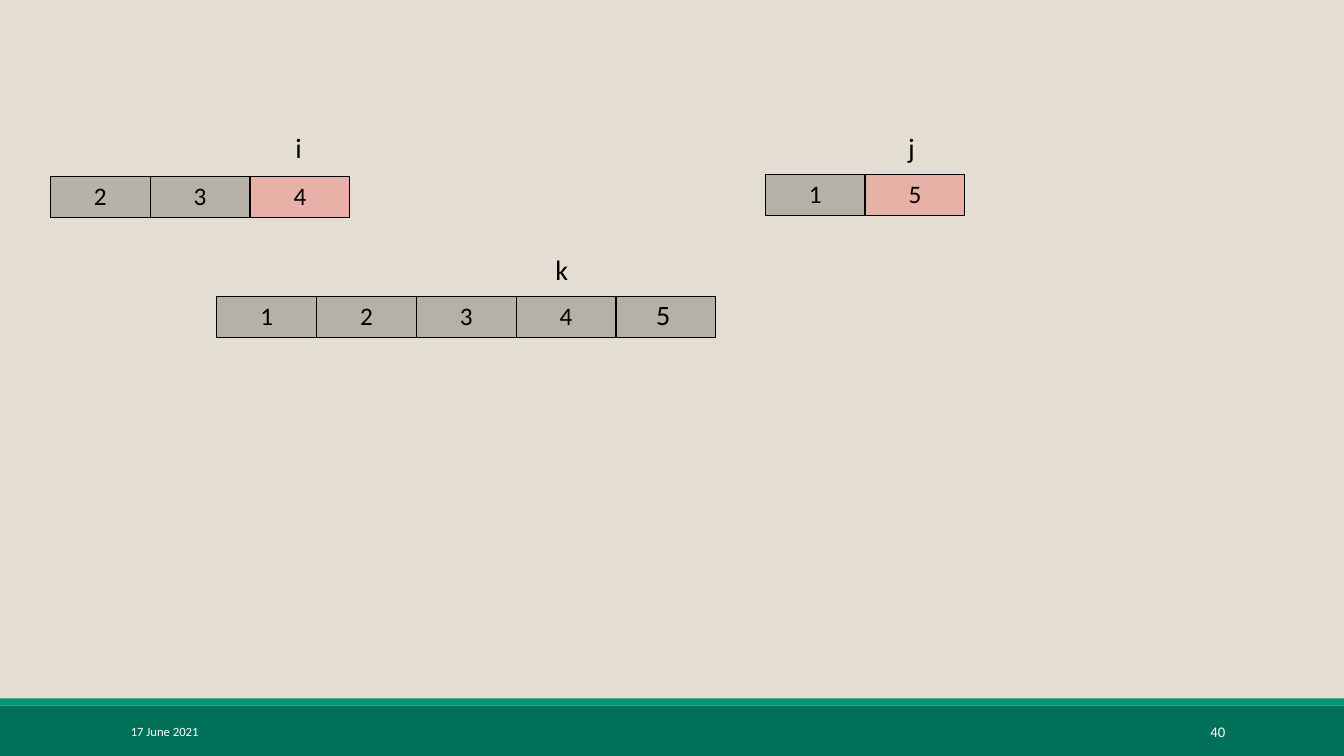
"""Build a slide showing the merge step of merge sort."""
from lxml.etree import SubElement
from pptx import Presentation
from pptx.dml.color import RGBColor as RGB
from pptx.enum.shapes import MSO_SHAPE as SHAPE
from pptx.enum.text import MSO_ANCHOR as ANCHOR, MSO_AUTO_SIZE as AUTO, PP_ALIGN as ALIGN
from pptx.oxml.ns import qn
from pptx.util import Inches, Pt

COLORS = {
    "back": "E3DED1", "bar": "017058", "strip": "029676",
    "white": "FFFFFF", "black": "000000", "grey": "B6B2A7", "red": "FF0000",
}
FONT = "Calibri"
CELL_W, CELL_H = 0.99, 0.41


def paint(fill, name, alpha=100):
    fill.solid()
    fill.fore_color.rgb = RGB.from_string(COLORS[name])
    if alpha < 100:
        tint = fill._xPr.find(qn("a:solidFill"))[0]
        SubElement(tint, qn("a:alpha"), val=str(alpha * 1000))


def style(para, size, color, align):
    para.alignment = align
    for run in para.runs:
        run.font.size = Pt(size)
        run.font.name = FONT
        run.font.color.rgb = RGB.from_string(COLORS[color])


def add_band(slide, top, height, color):
    band = slide.shapes.add_shape(
        SHAPE.RECTANGLE, 0, Inches(top), Inches(13.33), Inches(height))
    band.shadow.inherit = False
    band.line.fill.background()
    paint(band.fill, color)


def add_text(slide, text, box, size, color="black", align=ALIGN.LEFT):
    shape = slide.shapes.add_textbox(*map(Inches, box))
    frame = shape.text_frame
    frame.word_wrap = True
    frame.text = text
    style(frame.paragraphs[0], size, color, align)
    return frame


def add_label(slide, text, left, top, width):
    frame = add_text(slide, text, (left, top, width, 0.44), 20)
    frame.auto_size = AUTO.SHAPE_TO_FIT_TEXT


def add_foot(slide, text, left, width, size, align):
    frame = add_text(slide, text, (left, 7.06, width, 0.4), size, "white", align)
    frame.vertical_anchor = ANCHOR.MIDDLE


def add_edges(cell):
    props = cell._tc.get_or_add_tcPr()
    for side in ("lnL", "lnR", "lnT", "lnB"):
        line = SubElement(props, qn(f"a:{side}"), w=str(Pt(1)))
        fill = SubElement(line, qn("a:solidFill"))
        SubElement(fill, qn("a:srgbClr"), val=COLORS["black"])


def add_array(slide, left, top, values, fills):
    count = len(values)
    table = slide.shapes.add_table(
        1, count, Inches(left), Inches(top),
        Inches(CELL_W * count), Inches(CELL_H)).table
    table.first_row = table.horz_banding = False
    table.rows[0].height = Inches(CELL_H)
    for col, (value, fill) in enumerate(zip(values, fills)):
        table.columns[col].width = Inches(CELL_W)
        cell = table.cell(0, col)
        cell.text_frame.text = value
        style(cell.text_frame.paragraphs[0], 18, "black", ALIGN.CENTER)
        add_edges(cell)
        paint(cell.fill, *fill)


def main():
    deck = Presentation()
    deck.slide_width, deck.slide_height = Inches(13.33), Inches(7.5)
    slide = deck.slides.add_slide(deck.slide_layouts[6])
    paint(slide.background.fill, "back")

    add_band(slide, 7, 0.5, "bar")
    add_band(slide, 6.93, 0.07, "strip")
    add_foot(slide, "17 June 2021", 1.2, 2.7, 9, ALIGN.LEFT)
    add_foot(slide, "40", 10.82, 1.43, 10.5, ALIGN.RIGHT)

    shade, grey, mark = ("black", 20), ("grey",), ("red", 20)
    add_array(slide, 2.15, 2.94, ["1", "2", "3", "4", ""], [shade] * 5)
    add_array(slide, 0.5, 1.75, ["2", "3", "4"], [grey, grey, mark])
    add_array(slide, 7.59, 1.73, ["1", "5"], [shade, mark])

    add_label(slide, "j", 8.91, 1.25, 0.77)
    add_label(slide, "k", 5.41, 2.46, 0.4)
    add_label(slide, "5", 6.41, 2.9, 0.47)
    add_label(slide, "i", 2.83, 1.25, 0.42)
    deck.save("out.pptx")


if __name__ == "__main__":
    main()
